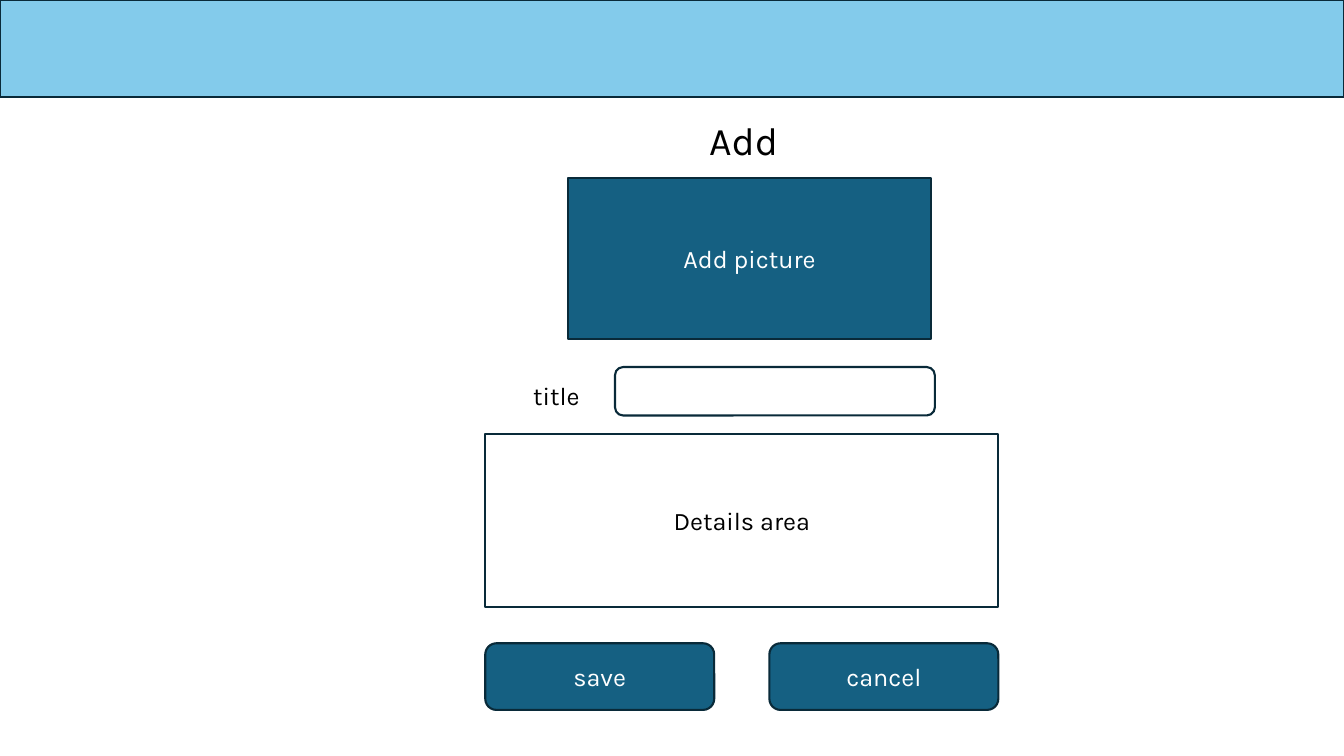
from dataclasses import dataclass
from typing import Optional

from pptx import Presentation
from pptx.dml.color import RGBColor
from pptx.enum.shapes import MSO_SHAPE
from pptx.enum.text import MSO_ANCHOR, MSO_AUTO_SIZE, PP_ALIGN
from pptx.util import Cm, Pt

RECTANGLE = MSO_SHAPE.RECTANGLE
ROUNDED = MSO_SHAPE.ROUNDED_RECTANGLE
CENTER, RIGHT = PP_ALIGN.CENTER, PP_ALIGN.RIGHT
TOP, MIDDLE = MSO_ANCHOR.TOP, MSO_ANCHOR.MIDDLE
NO_AUTOFIT = MSO_AUTO_SIZE.NONE


@dataclass(frozen=True)
class Theme:
    font: str = "Karla"
    heading_size: int = 28
    body_size: int = 18
    line_width: float = 1.5
    outline: RGBColor = RGBColor(0x09, 0x2A, 0x39)
    sky: RGBColor = RGBColor(0x83, 0xCB, 0xEB)
    teal: RGBColor = RGBColor(0x15, 0x60, 0x82)
    black: RGBColor = RGBColor(0, 0, 0)
    white: RGBColor = RGBColor(0xFF, 0xFF, 0xFF)


THEME = Theme()


@dataclass(frozen=True)
class Panel:
    """An outlined form element, measured in centimetres."""
    left: float
    top: float
    width: float
    height: float
    kind: MSO_SHAPE = RECTANGLE
    fill: Optional[RGBColor] = None
    text: str = ""


def write_text(shape, text: str, size: int, color: RGBColor,
               alignment: PP_ALIGN, anchor: MSO_ANCHOR) -> None:
    frame = shape.text_frame
    frame.auto_size = NO_AUTOFIT
    frame.word_wrap = True
    frame.vertical_anchor = anchor
    para = frame.paragraphs[0]
    para.text = text
    para.alignment = alignment
    para.line_spacing = 1.0
    para.space_before = Pt(0)
    para.font.name = THEME.font
    para.font.size = Pt(size)
    para.font.color.rgb = color


def draw_panel(page, panel: Panel) -> None:
    box = page.shapes.add_shape(panel.kind, Cm(panel.left), Cm(panel.top),
                                Cm(panel.width), Cm(panel.height))
    box.shadow.inherit = False
    box.line.color.rgb = THEME.outline
    box.line.width = Pt(THEME.line_width)
    if panel.fill is None:
        box.fill.background()
    else:
        box.fill.solid()
        box.fill.fore_color.rgb = panel.fill
    if panel.text:
        color = THEME.black if panel.fill is None else THEME.white
        write_text(box, panel.text, THEME.body_size, color, CENTER, MIDDLE)


def draw_heading(page) -> None:
    heading = page.shapes.title
    heading.left, heading.top = Cm(16.57), Cm(2.81)
    heading.width, heading.height = Cm(4.34), Cm(1.45)
    write_text(heading, "Add", THEME.heading_size, THEME.black, CENTER, TOP)


def draw_field_label(page) -> None:
    label = page.shapes.add_textbox(Cm(10.95), Cm(9.47), Cm(3.91), Cm(1.02))
    write_text(label, "title", THEME.body_size, THEME.black, RIGHT, TOP)


def main() -> None:
    deck = Presentation()
    deck.slide_width, deck.slide_height = Cm(33.87), Cm(19.05)
    page = deck.slides.add_slide(deck.slide_layouts.get_by_name("Title Only"))

    # Heading and form label
    draw_heading(page)
    draw_field_label(page)

    # Header band, picture area, title field and details area
    details = Panel(12.23, 10.93, 12.93, 4.37, text="Details area")
    panels = [
        Panel(0, 0, 33.87, 2.44, fill=THEME.sky),
        Panel(14.31, 4.49, 9.16, 4.06, fill=THEME.teal, text="Add picture"),
        Panel(15.5, 9.25, 8.06, 1.22, ROUNDED),
        details,
    ]

    # Buttons aligned with both edges of the details area
    button_width = 5.77
    button_step = details.width - button_width
    for index, caption in enumerate(("save", "cancel")):
        panels.append(Panel(details.left + index * button_step, 16.21,
                            button_width, 1.68, ROUNDED, THEME.teal, caption))

    for panel in panels:
        draw_panel(page, panel)
    deck.save("out.pptx")


if __name__ == "__main__":
    main()
